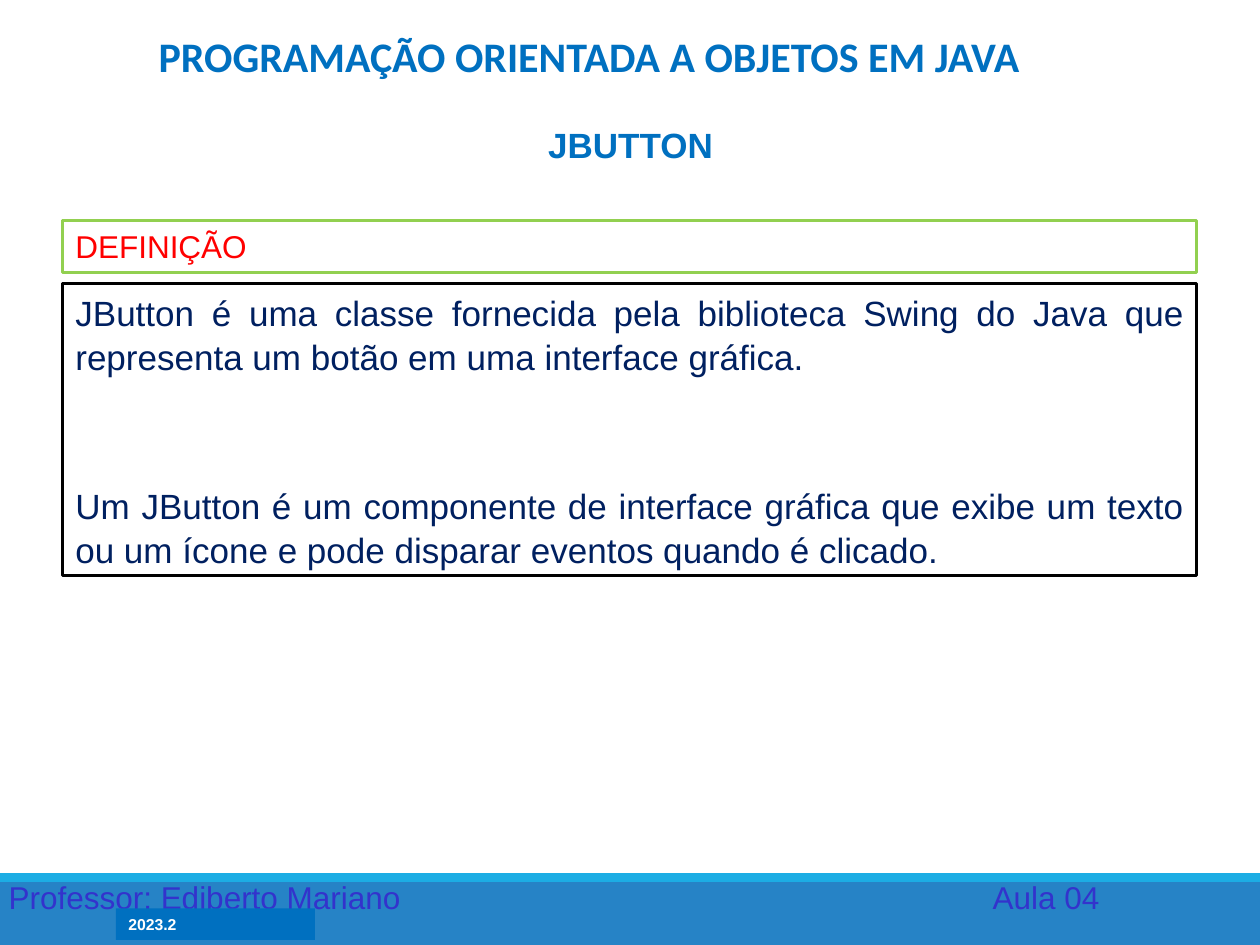
from lxml.etree import SubElement
from pptx import Presentation
from pptx.dml.color import RGBColor
from pptx.enum.shapes import MSO_SHAPE
from pptx.enum.text import MSO_ANCHOR, PP_ALIGN
from pptx.oxml.ns import qn
from pptx.util import Inches, Pt

COLORS = {
    "band": "2683C6", "stripe": "1CADE4", "blue": "0070C0", "footer": "3333CC",
    "white": "FFFFFF", "green": "92D050", "red": "FF0000", "navy": "002060",
    "black": "000000",
}


def add_box(x, y, w, h, fill=None, line=None):
    box = slide.shapes.add_shape(
        MSO_SHAPE.RECTANGLE, Inches(x), Inches(y), Inches(w), Inches(h))
    box.shadow.inherit = False
    if fill:
        box.fill.solid()
        box.fill.fore_color.rgb = RGBColor.from_string(COLORS[fill])
    else:
        box.fill.background()
    if line:
        box.line.color.rgb = RGBColor.from_string(COLORS[line])
        box.line.width = Pt(1.75)
    else:
        box.line.fill.background()
    return box


def write(shape, texts, size, color, align=PP_ALIGN.LEFT, bold=False,
          font="Arial", anchor=MSO_ANCHOR.TOP):
    frame = shape.text_frame
    frame.word_wrap = True
    frame.vertical_anchor = anchor
    frame.text = "\n".join(texts)
    for paragraph in frame.paragraphs:
        paragraph.alignment = align
        paragraph.font.name = font
        paragraph.font.size = Pt(size)
        paragraph.font.bold = bold
        paragraph.font.color.rgb = RGBColor.from_string(COLORS[color])
    return frame.paragraphs


prs = Presentation()
prs.slide_width = Inches(10)
prs.slide_height = Inches(7.5)
slide = prs.slides.add_slide(prs.slide_layouts[5])

add_box(0, 6.93, 10, 0.57, "band")
add_box(0, 6.93, 10, 0.07, "stripe")

footer = slide.shapes.add_textbox(Inches(-0.03), Inches(6.92), Inches(9), Inches(0.4))
footer_line = write(footer, ["Professor: Ediberto Mariano\tAula 04"], 18, "footer")[0]
tabs = SubElement(footer_line._p.get_or_add_pPr(), qn("a:tabLst"))
SubElement(tabs, qn("a:tab"), pos=str(Inches(7.81)), algn="l")
footer_line._p.pPr.insert(0, tabs)

term = add_box(0.92, 7.21, 1.58, 0.25, "blue")
write(term, ["2023.2"], 9, "white", bold=True)

topic = slide.shapes.add_textbox(Inches(0.67), Inches(0.93), Inches(8.67), Inches(0.44))
write(topic, ["JBUTTON"], 20, "blue", PP_ALIGN.CENTER, bold=True)

title = slide.shapes.title
title.left, title.top = Inches(1.03), Inches(0.17)
title.width, title.height = Inches(7.29), Inches(0.52)
write(title, ["PROGRAMAÇÃO ORIENTADA A OBJETOS EM JAVA"], 24, "blue",
      PP_ALIGN.CENTER, bold=True, font="Calibri", anchor=MSO_ANCHOR.BOTTOM)

heading = add_box(0.5, 1.75, 9, 0.41, "white", "green")
write(heading, ["DEFINIÇÃO"], 18, "red", PP_ALIGN.JUSTIFY)

definition = add_box(0.5, 2.25, 9, 2.32, line="black")
definition_lines = write(definition, [
    "JButton é uma classe fornecida pela biblioteca Swing do Java que "
    "representa um botão em uma interface gráfica.",
    "Um JButton é um componente de interface gráfica que exibe um texto "
    "ou um ícone e pode disparar eventos quando é clicado.",
], 20, "navy", PP_ALIGN.JUSTIFY)
for paragraph in definition_lines:
    paragraph.line_spacing = 1.04
definition_lines[1].space_before = Pt(60.6)

prs.save("out.pptx")
